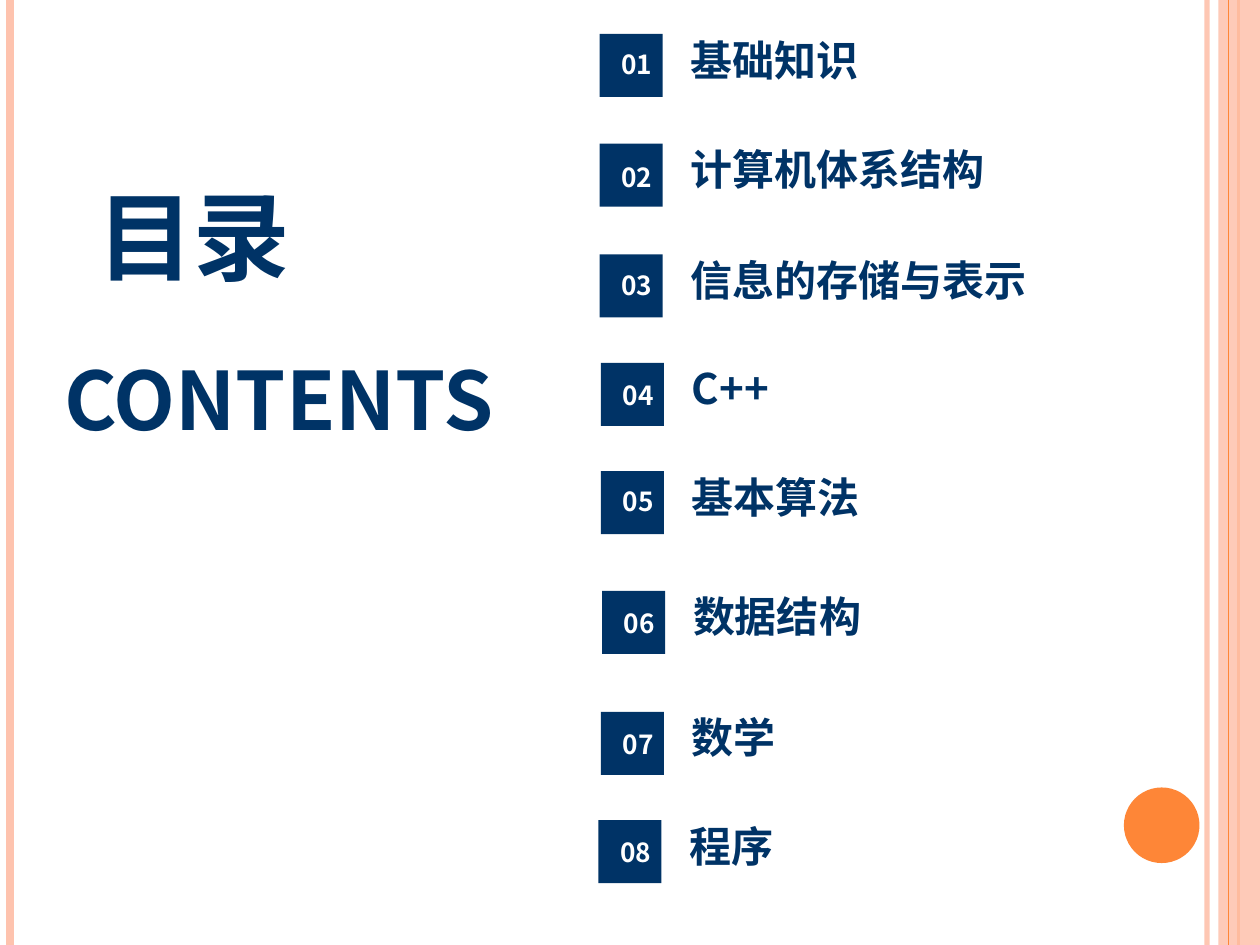
from pptx import Presentation
from pptx.dml.color import RGBColor
from pptx.enum.shapes import MSO_CONNECTOR, MSO_SHAPE
from pptx.enum.text import MSO_ANCHOR, MSO_AUTO_SIZE, PP_ALIGN
from pptx.oxml.ns import qn
from pptx.util import Inches, Pt
from lxml import etree

STRAIGHT = MSO_CONNECTOR.STRAIGHT
RECT, OVAL = MSO_SHAPE.RECTANGLE, MSO_SHAPE.OVAL
LEFT, CENTER = PP_ALIGN.LEFT, PP_ALIGN.CENTER
TOP, BOTTOM = MSO_ANCHOR.TOP, MSO_ANCHOR.BOTTOM
GROW, FIXED = MSO_AUTO_SIZE.SHAPE_TO_FIT_TEXT, MSO_AUTO_SIZE.NONE

FONT = "Noto Sans CJK SC"
COLORS = {"navy": "003366", "peach": "FEC3AE", "orange": "FE8637", "white": "FFFFFF"}
HEIGHT = 7.5
SQUARE = 0.5

# text, square left, square top, number top
ENTRIES = [
    ("基础知识", 4.76, 0.27, 0.38),
    ("计算机体系结构", 4.76, 1.14, 1.28),
    ("信息的存储与表示", 4.76, 2.02, 2.14),
    ("C++", 4.77, 2.88, 3.01),
    ("基本算法", 4.77, 3.74, 3.85),
    ("数据结构", 4.78, 4.69, 4.82),
    ("数学", 4.77, 5.65, 5.78),
    ("程序", 4.75, 6.51, 6.64),
]


def rgb(name):
    return RGBColor.from_string(COLORS[name])


def set_alpha(fill_parent, percent):
    """Make the solid fill below an element partly transparent."""
    color = fill_parent.find(qn("a:solidFill"))[0]
    etree.SubElement(color, qn("a:alpha")).set("val", str(percent * 1000))


def write(tf, text, size=24, color="navy", align=LEFT, anchor=TOP,
          insets=(0, 0, 0.07, 0.05), fit=GROW, small_caps=False):
    tf.word_wrap = True
    tf.auto_size = fit
    tf.vertical_anchor = anchor
    tf.margin_left, tf.margin_top, tf.margin_right, tf.margin_bottom = map(Inches, insets)
    p = tf.paragraphs[0]
    p.alignment = align
    r = p.add_run()
    r.text = text
    r.font.size = Pt(size)
    r.font.bold = True
    r.font.color.rgb = rgb(color)
    r.font.name = FONT
    rPr = r.font._element
    etree.SubElement(rPr, qn("a:ea")).set("typeface", FONT)
    if small_caps:
        rPr.set("cap", "small")


class SlideBuilder:
    def __init__(self, slide, text_color="navy"):
        self.s = slide
        self.text_color = text_color

    def box(self, kind, x, y, w, h, color, alpha=None):
        sp = self.s.shapes.add_shape(kind, *map(Inches, (x, y, w, h)))
        sp.shadow.inherit = False
        sp.fill.solid()
        sp.fill.fore_color.rgb = rgb(color)
        sp.line.fill.background()
        if alpha:
            set_alpha(sp._element.spPr, alpha)

    def vertical_line(self, x, color, width, alpha=None):
        line = self.s.shapes.add_connector(
            STRAIGHT, Inches(x), 0, Inches(x), Inches(HEIGHT))
        line.line.color.rgb = rgb(color)
        line.line.width = Pt(width)
        spPr = line._element.spPr
        if alpha:
            set_alpha(spPr.find(qn("a:ln")), alpha)
        etree.SubElement(spPr, qn("a:effectLst"))

    def text(self, text, x, y, w, h, **style):
        sp = self.s.shapes.add_textbox(*map(Inches, (x, y, w, h)))
        write(sp.text_frame, text, **{"color": self.text_color, **style})

    def title(self, text, x, y, w, h, **style):
        sp = self.s.shapes.title
        sp.left, sp.top, sp.width, sp.height = map(Inches, (x, y, w, h))
        write(sp.text_frame, text, **{"color": self.text_color, **style})

    def entry(self, number, text, x, y, number_y):
        self.box(RECT, x, y, SQUARE, SQUARE, "navy")
        self.text(text, x + 0.72, y, 4.15, 0.45)
        self.text(f"{number:02}", x + 0.07, number_y, 0.45, 0.25, size=15,
                  color="white", align=CENTER, insets=(0, 0, 0, 0))


def main():
    prs = Presentation()
    prs.slide_width, prs.slide_height = Inches(10), Inches(HEIGHT)
    b = SlideBuilder(prs.slides.add_slide(prs.slide_layouts[5]))

    b.vertical_line(9.58, "peach", 3, alpha=93)
    b.vertical_line(0.08, "peach", 4.5)
    b.vertical_line(9.83, "orange", 1.5)
    b.box(RECT, 9.67, 0, 0.33, HEIGHT, "peach", alpha=87)
    b.vertical_line(9.75, "orange", 0.75)
    b.box(OVAL, 8.92, 6.25, 0.6, 0.6, "orange")

    b.title("目录", 0.67, 1.07, 2.61, 1.34, size=69, anchor=BOTTOM,
            insets=(0.1, 0.05, 0.1, 0.05), fit=FIXED, small_caps=True)
    b.text("CONTENTS", 0.51, 2.78, 4.03, 0.84, size=46)
    for number, entry in enumerate(ENTRIES, 1):
        b.entry(number, *entry)

    prs.save("out.pptx")


if __name__ == "__main__":
    main()
